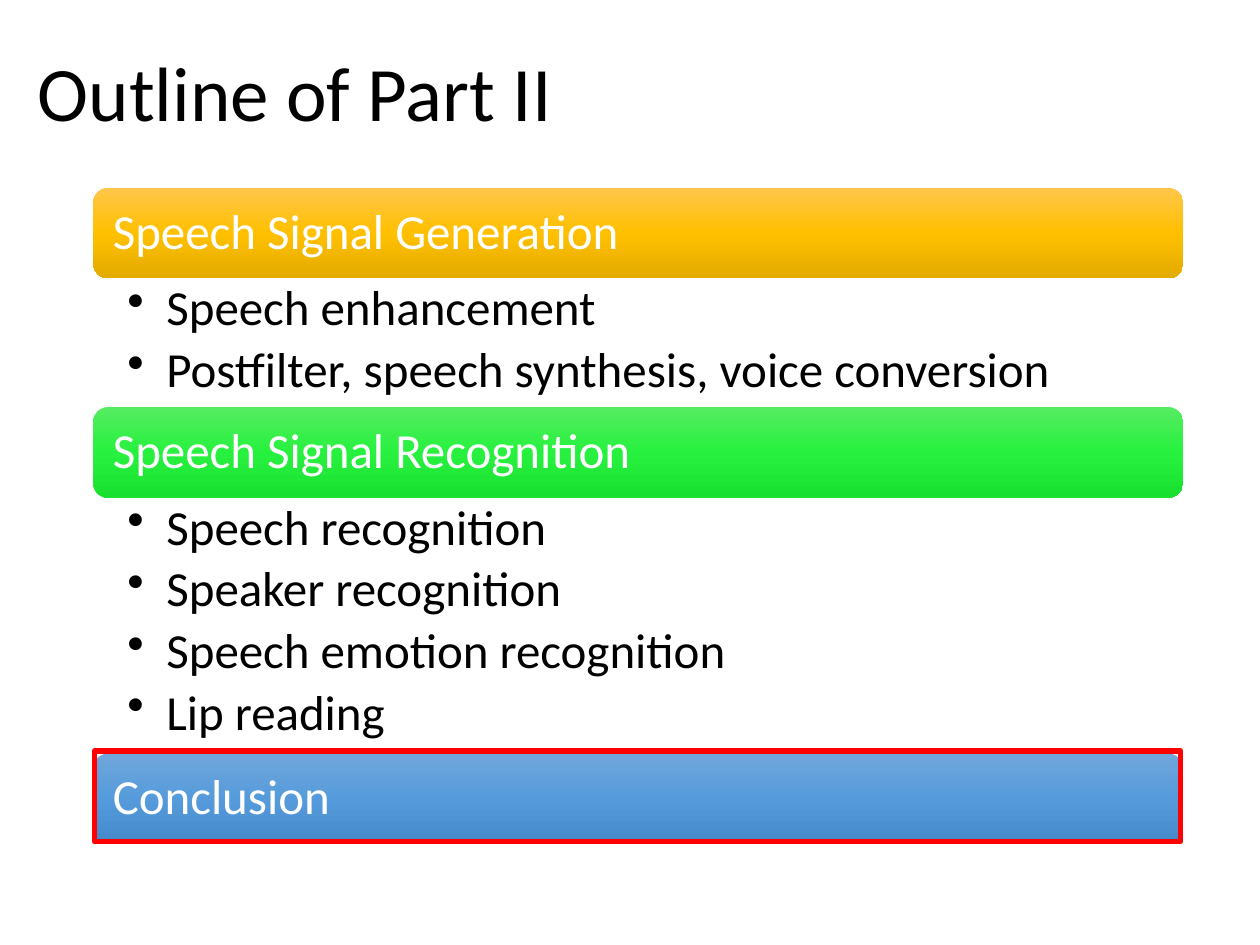
import copy

import lxml.etree
import pptx
import pptx.dml.color
import pptx.enum.shapes
import pptx.enum.text
import pptx.oxml.ns
import pptx.util
from pptx.util import Inches

LEFT, WIDTH, BAR_HEIGHT = 0.74, 8.65, 0.72


def color(value):
    return pptx.dml.color.RGBColor.from_string(value)


def format_paragraph(paragraph, size, text_color):
    paragraph.alignment = pptx.enum.text.PP_ALIGN.LEFT
    paragraph.line_spacing = 0.9
    paragraph.font.name = "Calibri"
    paragraph.font.size = pptx.util.Pt(size)
    paragraph.font.color.rgb = color(text_color)


presentation = pptx.Presentation()
presentation.slide_width = Inches(10)
presentation.slide_height = Inches(7.5)
slide = presentation.slides.add_slide(presentation.slide_layouts[5])

# Title
title = slide.shapes.title
title.left, title.top = Inches(0.2), Inches(0.22)
title.width, title.height = Inches(8.62), Inches(1.09)
title.text_frame.text = "Outline of Part II"
title.text_frame.vertical_anchor = pptx.enum.text.MSO_ANCHOR.MIDDLE
format_paragraph(title.text_frame.paragraphs[0], 44, "000000")

# Sections: heading, gradient colours, bullets, height of the bullet list
sections = [
    ("Speech Signal Generation", ("FFC64B", "FFC000", "E3AB00"),
     ["Speech enhancement", "Postfilter, speech synthesis, voice conversion"], 1.02),
    ("Speech Signal Recognition", ("56EC62", "27F13E", "18E02F"),
     ["Speech recognition", "Speaker recognition", "Speech emotion recognition",
      "Lip reading"], 2.03),
    ("Conclusion", ("71A6DB", "559BDB", "448ACA"), [], 0),
]

top = 1.49
for heading, gradient_colors, bullets, list_height in sections:
    # Heading bar
    bar = slide.shapes.add_shape(
        pptx.enum.shapes.MSO_SHAPE.ROUNDED_RECTANGLE,
        Inches(LEFT), Inches(top), Inches(WIDTH), Inches(BAR_HEIGHT))
    bar.shadow.inherit = False
    bar.line.fill.background()
    bar.fill.gradient()
    bar.fill.gradient_angle = 270
    stop_list = bar._element.spPr.find(".//" + pptx.oxml.ns.qn("a:gsLst"))
    stop_list.append(copy.deepcopy(stop_list[0]))
    for stop, position, value in zip(bar.fill.gradient_stops, (0, 0.5, 1), gradient_colors):
        stop.position = position
        stop.color.rgb = color(value)
    frame = bar.text_frame
    frame.text = heading
    frame.word_wrap = True
    frame.vertical_anchor = pptx.enum.text.MSO_ANCHOR.MIDDLE
    # The rounded corners already inset the text by about 0.04 inches
    frame.margin_left = frame.margin_right = Inches(0.12)
    format_paragraph(frame.paragraphs[0], 28, "FFFFFF")
    top += BAR_HEIGHT

    # Bullet list
    if bullets:
        box = slide.shapes.add_textbox(
            Inches(LEFT), Inches(top), Inches(WIDTH), Inches(list_height))
        frame = box.text_frame
        frame.word_wrap = True
        frame.margin_left, frame.margin_right = Inches(0.27), Inches(0.22)
        frame.margin_top = frame.margin_bottom = Inches(0.04)
        frame.text = "\n".join(bullets)
        for paragraph in frame.paragraphs:
            paragraph.level = 1
            paragraph.space_after = pptx.util.Pt(5)
            properties = paragraph._p.get_or_add_pPr()
            properties.set("marL", str(Inches(0.31)))
            properties.set("indent", str(-Inches(0.31)))
            lxml.etree.SubElement(properties, pptx.oxml.ns.qn("a:buChar"), char="•")
            format_paragraph(paragraph, 28, "000000")
        top += list_height

# Red frame around the current section
highlight = slide.shapes.add_shape(
    pptx.enum.shapes.MSO_SHAPE.RECTANGLE,
    Inches(0.75), Inches(5.96), Inches(8.62), Inches(BAR_HEIGHT))
highlight.shadow.inherit = False
highlight.fill.background()
highlight.line.color.rgb = color("FF0000")
highlight.line.width = pptx.util.Pt(3)

presentation.save("out.pptx")
